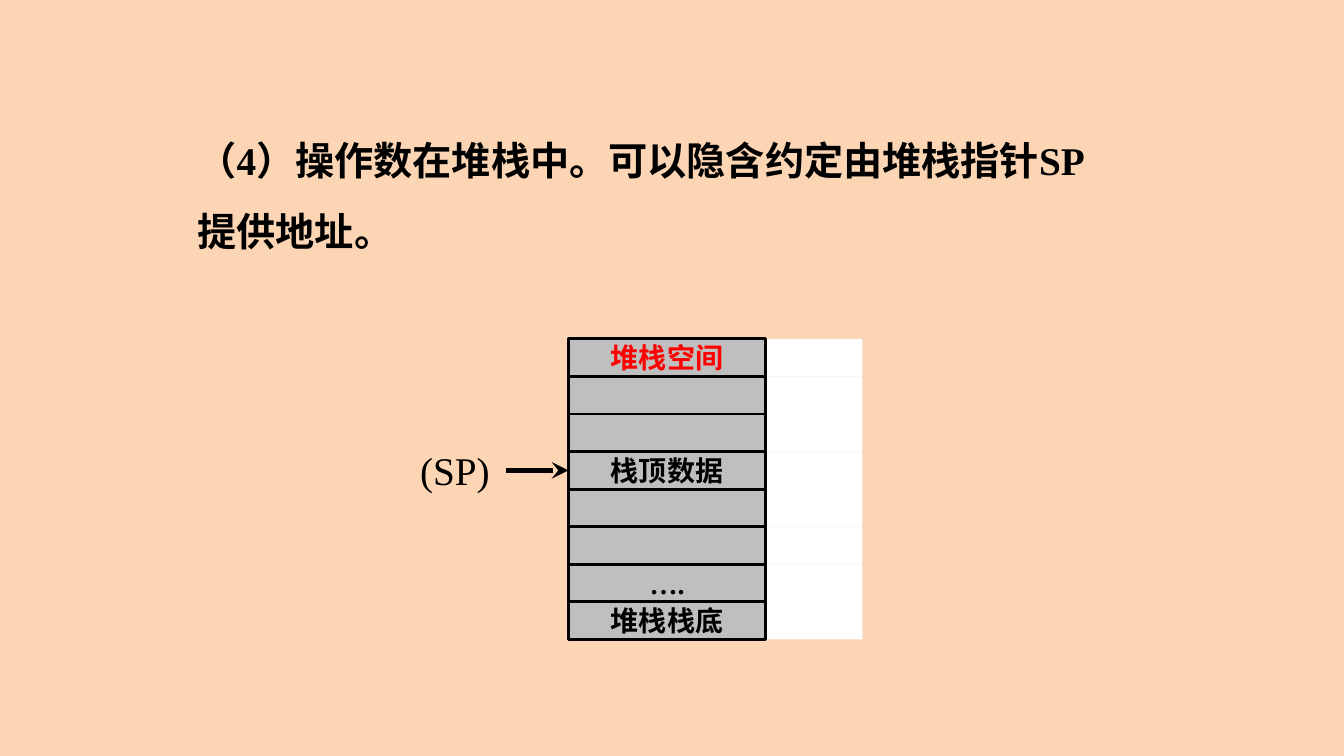
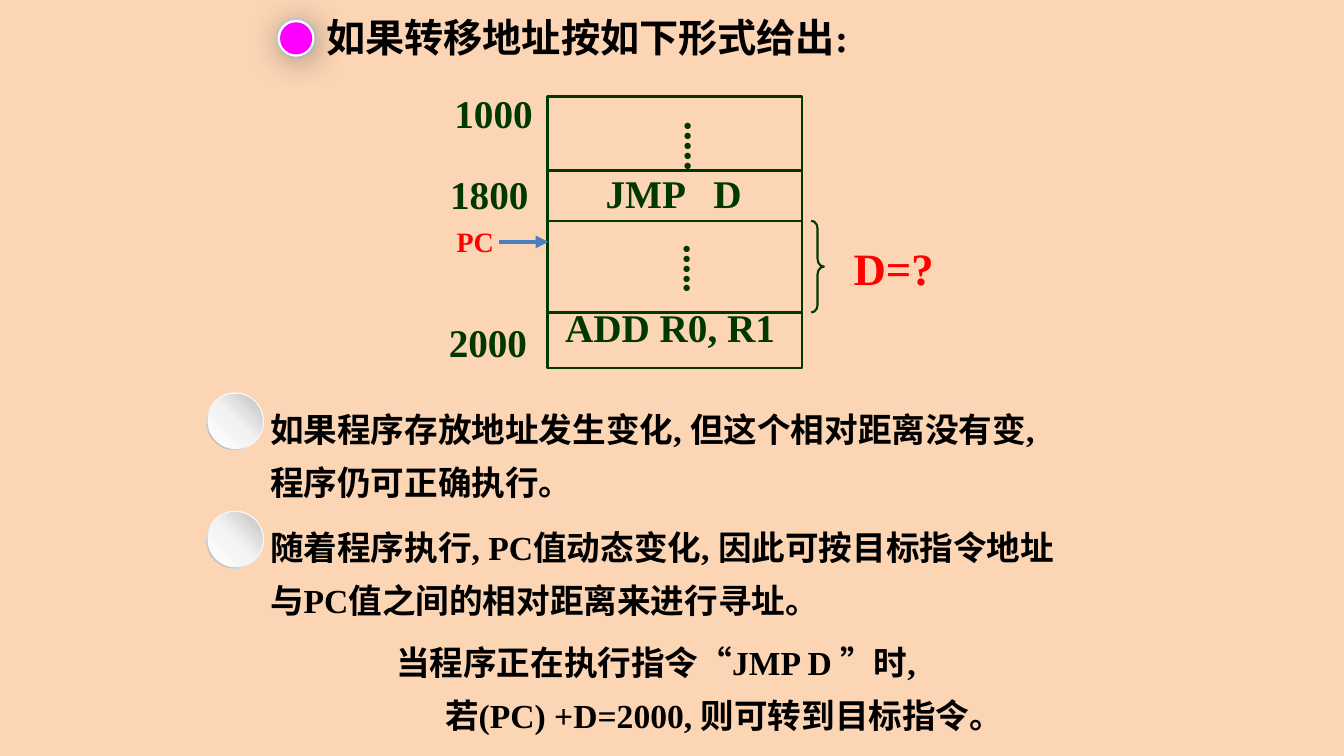
"""Build two slides on stack addressing and PC-relative jump addressing."""
from copy import deepcopy

from lxml.etree import SubElement
from pptx import Presentation
from pptx.dml.color import RGBColor
from pptx.enum.shapes import MSO_CONNECTOR, MSO_SHAPE
from pptx.enum.text import MSO_ANCHOR, PP_ALIGN
from pptx.oxml.ns import qn
from pptx.util import Pt

PEACH = RGBColor(0xFC, 0xD5, 0xB5)
BLACK = RGBColor(0, 0, 0)
WHITE = RGBColor(0xFF, 0xFF, 0xFF)
RED = RGBColor(0xFF, 0, 0)
GREEN = RGBColor(0, 0x38, 0)
BLUE = RGBColor(0x4B, 0x7E, 0xBC)
MAGENTA = RGBColor(0xFF, 0, 0xFF)
CELL_GRAY = RGBColor(0xBF, 0xBF, 0xBF)
RING_GRAY = RGBColor(0xD9, 0xD9, 0xD9)
PALE_GRAY = RGBColor(0xF2, 0xF2, 0xF2)
RIM_GRAY = RGBColor(0xA6, 0xA6, 0xA6)
FONT = "Times New Roman"


def write(frame, text, size=28, color=BLACK, bold=True, align=PP_ALIGN.LEFT, spacing=None, wrap=True):
    frame.text = text
    frame.word_wrap = wrap
    for paragraph in frame.paragraphs:
        paragraph.alignment = align
        if spacing:
            paragraph.line_spacing = spacing
        for run in paragraph.runs:
            run.font.name = FONT
            run.font.size = Pt(size)
            run.font.bold = bold
            run.font.color.rgb = color


def draw_line(slide, start, end, color, width, head=None):
    line = slide.shapes.add_connector(MSO_CONNECTOR.STRAIGHT, *map(Pt, start + end))
    line.line.color.rgb = color
    line.line.width = Pt(width)
    if head:
        SubElement(line.line._get_or_add_ln(), qn("a:tailEnd"), type=head)
    SubElement(line._element.spPr, qn("a:effectLst"))
    return line


prs = Presentation()
prs.slide_width, prs.slide_height = Pt(960), Pt(540)
master_fill = prs.slide_master.background.fill
master_fill.solid()
master_fill.fore_color.rgb = PEACH
blank = prs.slide_layouts[6]

stack_slide = prs.slides.add_slide(blank)
statement = stack_slide.shapes.add_textbox(Pt(134), Pt(77), Pt(652), Pt(103))
write(statement.text_frame, "（4）操作数在堆栈中。可以隐含约定由堆栈指针SP提供地址。", spacing=1.5)

STACK_TOP, CELL_HEIGHT = 242, 26.85
stack_texts = ["堆栈空间", "", "", "栈顶数据", "", "", "….", "堆栈栈底"]
stack_cells = []
for left, width, color, outlined in [(542, 74, WHITE, False), (406, 141, CELL_GRAY, True)]:
    for row, text in enumerate(stack_texts):
        cell = stack_slide.shapes.add_shape(
            MSO_SHAPE.RECTANGLE, Pt(left), Pt(STACK_TOP + row * CELL_HEIGHT), Pt(width), Pt(CELL_HEIGHT))
        cell.shadow.inherit = False
        cell.fill.solid()
        cell.fill.fore_color.rgb = color
        if not outlined:
            cell.line.fill.background()
            continue
        cell.line.color.rgb = BLACK
        cell.line.width = Pt(2)
        stack_cells.append(cell)
        if text:
            cell.text_frame.vertical_anchor = MSO_ANCHOR.MIDDLE
            write(cell.text_frame, text, size=20, color=BLACK if row else RED, align=PP_ALIGN.CENTER)

stack_pointer = stack_slide.shapes.add_textbox(Pt(293), Pt(315.5), Pt(65), Pt(41))
write(stack_pointer.text_frame, "(SP)", bold=False, wrap=False)
pointer_y = STACK_TOP + 3.5 * CELL_HEIGHT
pointer_arrow = draw_line(stack_slide, (361.5, pointer_y), (406, pointer_y), BLACK, 4, "stealth")
pointer_arrow.end_connect(stack_cells[3], 1)

jump_slide = prs.slides.add_slide(blank)
heading = jump_slide.shapes.add_textbox(Pt(226), Pt(6), Pt(476), Pt(41))
write(heading.text_frame, "如果转移地址按如下形式给出:")

brace = jump_slide.shapes.add_shape(MSO_SHAPE.RIGHT_BRACE, Pt(579.5), Pt(157.7), Pt(9), Pt(65.5))
brace.adjustments[0] = 0.61
brace.line.width = Pt(1.5)
memory = jump_slide.shapes.add_shape(MSO_SHAPE.RECTANGLE, Pt(391), Pt(69), Pt(182), Pt(194))
memory.line.width = Pt(1.75)
for outline in (brace, memory):
    outline.shadow.inherit = False
    outline.fill.background()
    outline.line.color.rgb = GREEN
for y in (121.7, 157.7, 223.2):
    draw_line(jump_slide, (391, y), (573, y), GREEN, 1.75)

for left, top, width, text in [
    (317.5, 60.5, 80, "1000"),
    (314.5, 118, 80, "1800"),
    (313.5, 224, 80, "2000"),
    (425.5, 117.5, 140, "JMP\tD"),
    (396.5, 213, 176, "ADD R0, R1"),
]:
    memory_text = jump_slide.shapes.add_textbox(Pt(left), Pt(top), Pt(width), Pt(41))
    write(memory_text.text_frame, text, color=GREEN)
    if "\t" in text:
        tabs = SubElement(memory_text.text_frame.paragraphs[0]._p.get_or_add_pPr(), qn("a:tabLst"))
        SubElement(tabs, qn("a:tab"), pos=str(Pt(77)), algn="l")

for left, top in [(473, 80), (472.3, 167.8)]:
    dots = jump_slide.shapes.add_textbox(Pt(left), Pt(top), Pt(48), Pt(59))
    write(dots.text_frame, ".....", color=GREEN)
    dots.text_frame._txBody.bodyPr.set("vert", "eaVert")

distance = jump_slide.shapes.add_textbox(Pt(602.6), Pt(168.5), Pt(73), Pt(46))
write(distance.text_frame, "D=?", size=32, color=RED, wrap=False)
draw_line(jump_slide, (356.4, 172.8), (391.7, 172.8), BLUE, 3, "triangle")
counter = jump_slide.shapes.add_textbox(Pt(319), Pt(157), Pt(49), Pt(32))
write(counter.text_frame, "PC", size=20, color=RED)

MARKER_X, MARKER_Y = 211.5, 27.4
for size, fill, line, width in [
    (28, None, RING_GRAY, 2),
    (24.5, PALE_GRAY, WHITE, 1.75),
    (23, MAGENTA, None, 0),
]:
    disc = jump_slide.shapes.add_shape(
        MSO_SHAPE.OVAL, Pt(MARKER_X - size / 2), Pt(MARKER_Y - size / 2), Pt(size), Pt(size))
    disc.shadow.inherit = False
    if fill:
        disc.fill.solid()
        disc.fill.fore_color.rgb = fill
    else:
        disc.fill.background()
    if line:
        disc.line.color.rgb = line
        disc.line.width = Pt(width)
    else:
        disc.line.fill.background()
    if fill == PALE_GRAY:
        shadow = SubElement(disc._element.spPr.find(qn("a:effectLst")), qn("a:outerShdw"),
                            blurRad=str(Pt(24)), dist=str(Pt(3)), dir="2700000")
        shade = SubElement(shadow, qn("a:srgbClr"), val=str(BLACK))
        SubElement(shade, qn("a:alpha"), val="39000")

for top, text in [
    (280, "如果程序存放地址发生变化, 但这个相对距离没有变,\v程序仍可正确执行。"),
    (364.5, "随着程序执行, PC值动态变化, 因此可按目标指令地址\v与PC值之间的相对距离来进行寻址。"),
]:
    point = jump_slide.shapes.add_textbox(Pt(185.8), Pt(top), Pt(624), Pt(78.5))
    write(point.text_frame, text, size=24, spacing=1.3)
    for preset, inset, size, middle, last, angle in [
        (MSO_SHAPE.DONUT, 0, 41, 0.55, RIM_GRAY, 225),
        (MSO_SHAPE.OVAL, 1, 39, 0.51, CELL_GRAY, 45),
    ]:
        ball = jump_slide.shapes.add_shape(
            preset, Pt(147.5 + inset), Pt(top + 0.5 + inset), Pt(size), Pt(size))
        if preset == MSO_SHAPE.DONUT:
            ball.adjustments[0] = 0.05
        ball.shadow.inherit = False
        ball.line.fill.background()
        ball.fill.gradient()
        ball.fill.gradient_angle = angle
        first_stop = ball._element.spPr.find(".//" + qn("a:gs"))
        first_stop.addnext(deepcopy(first_stop))
        shades = [(0, WHITE), (middle, PALE_GRAY), (1, last)]
        for stop, (position, color) in zip(ball.fill.gradient_stops, shades):
            stop.position = position
            stop.color.rgb = color

conclusion = jump_slide.shapes.add_textbox(Pt(275.8), Pt(446.5), Pt(526), Pt(78.5))
write(conclusion.text_frame, "当程序正在执行指令“JMP D ”时,\n若(PC) +D=2000, 则可转到目标指令。", size=24, spacing=1.3)
conclusion.text_frame.paragraphs[1]._p.get_or_add_pPr().set("marL", str(Pt(35)))

prs.save("out.pptx")
